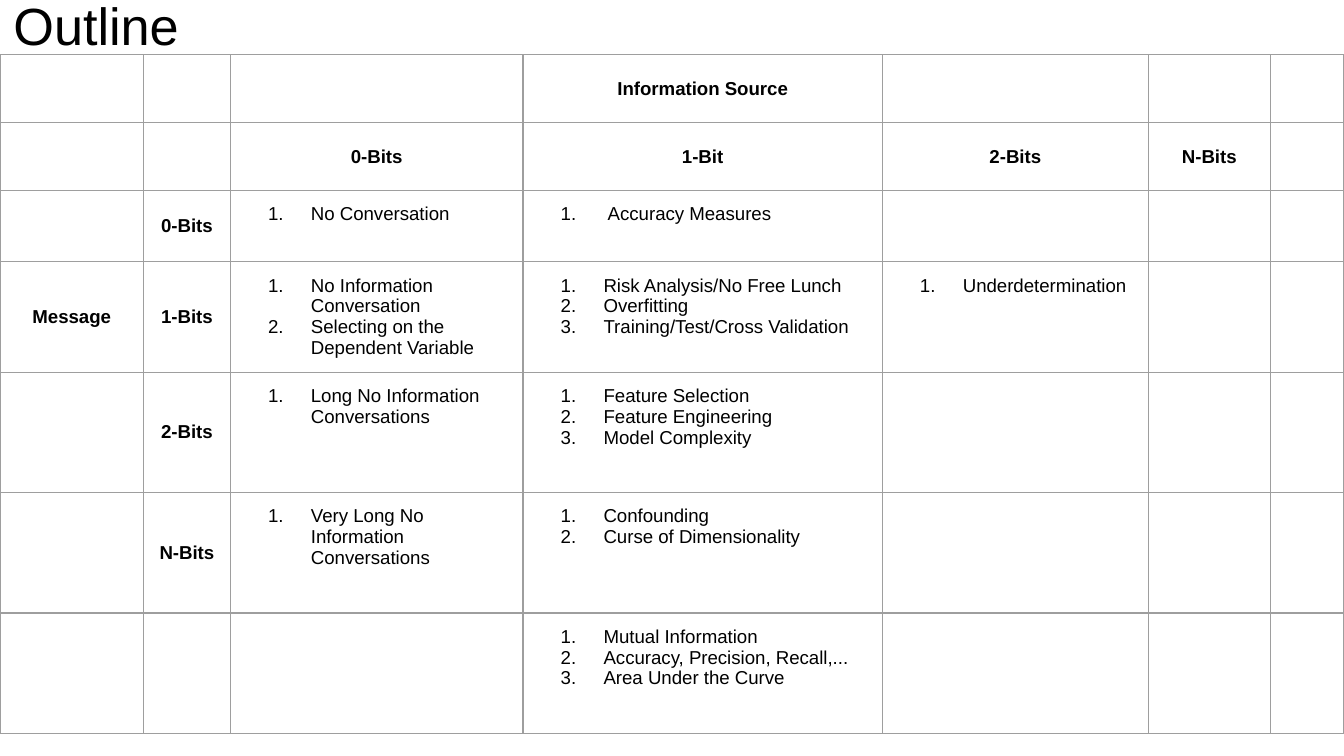
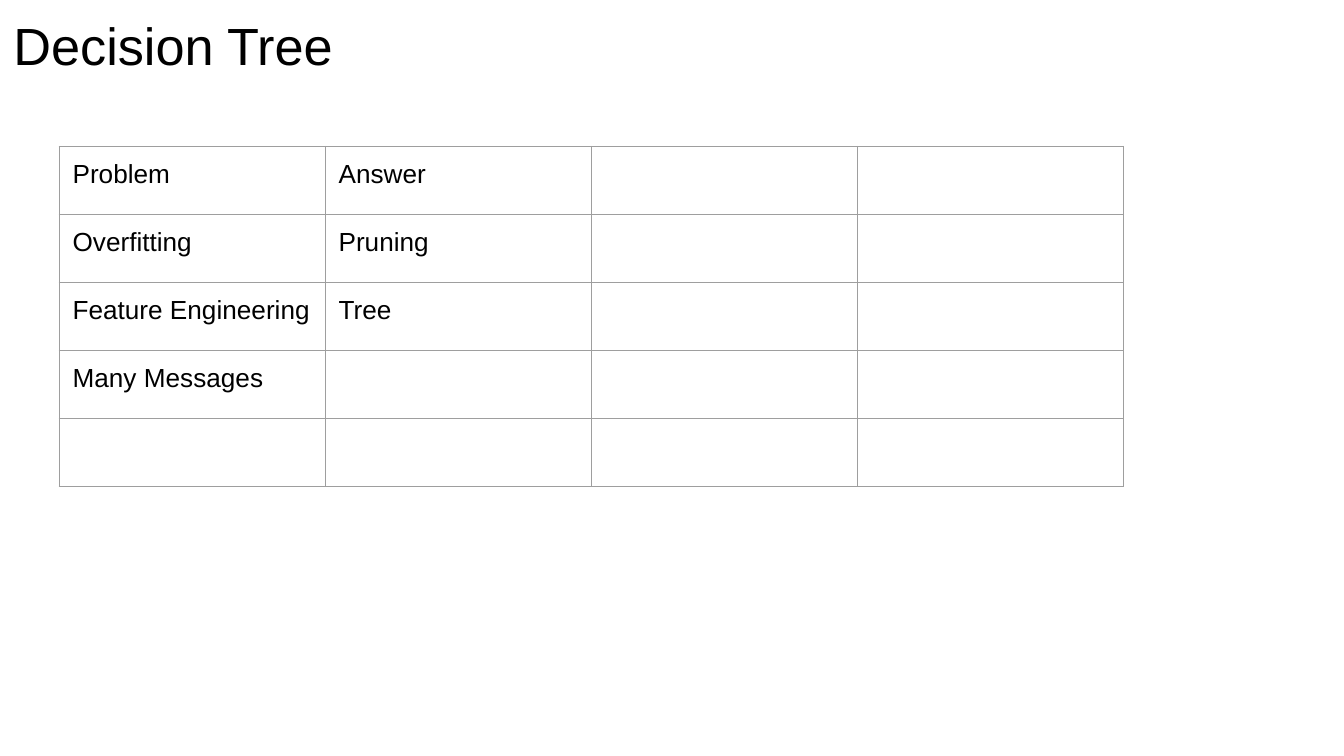
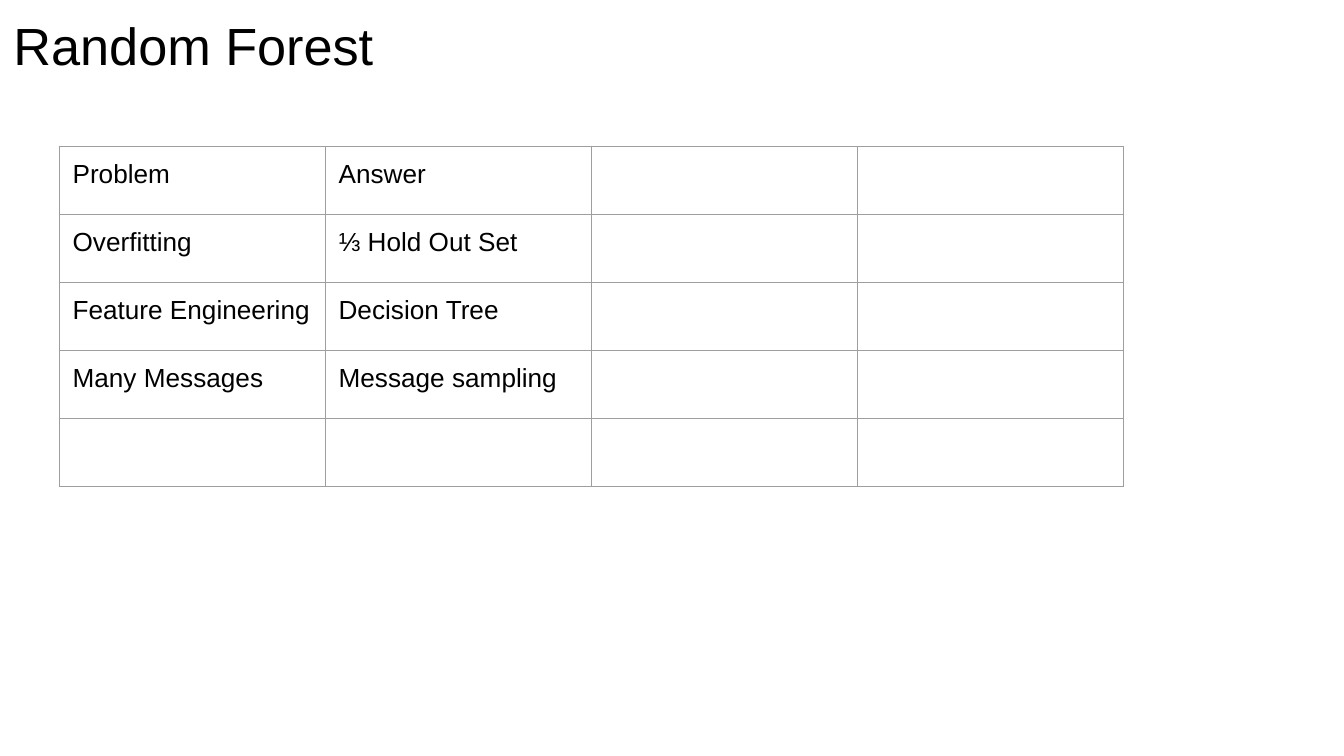
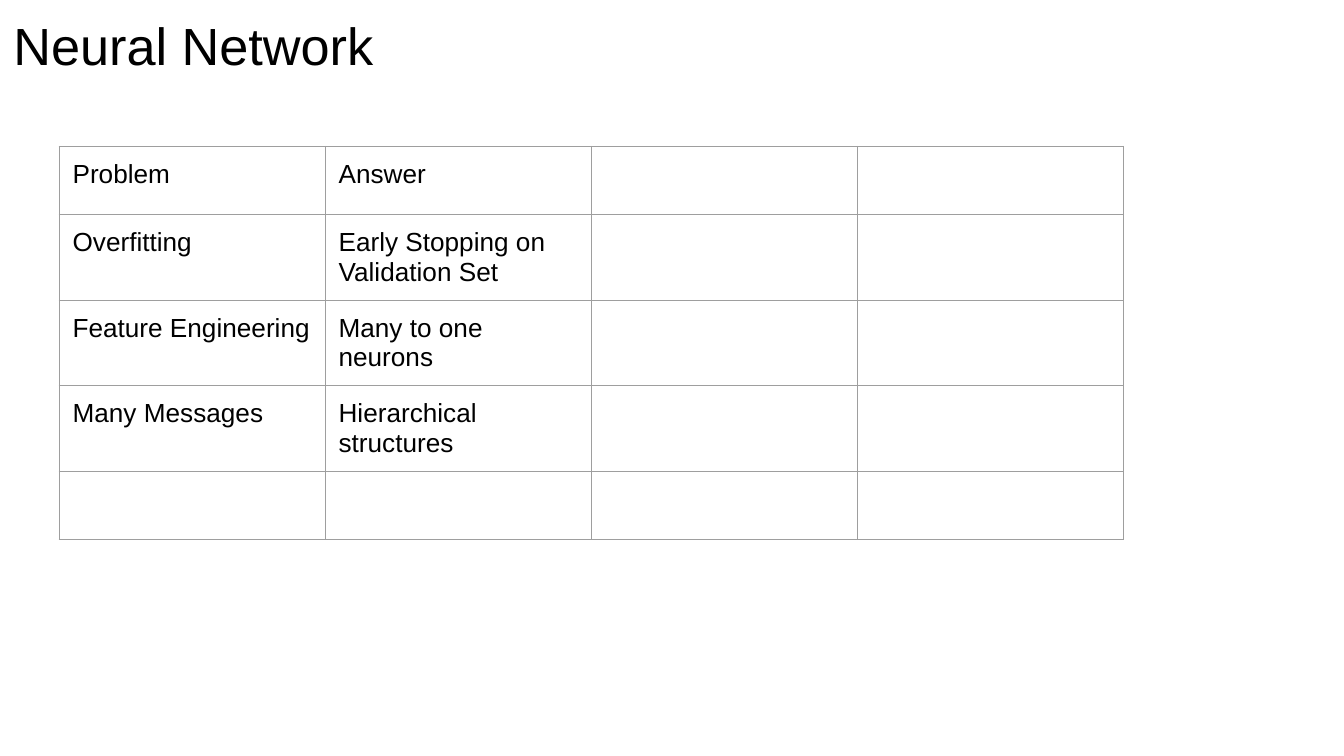
from lxml import etree
from pptx import Presentation
from pptx.dml.color import RGBColor
from pptx.enum.text import MSO_ANCHOR, MSO_AUTO_SIZE, PP_ALIGN
from pptx.oxml.ns import qn
from pptx.util import Pt

LEFT, CENTER = PP_ALIGN.LEFT, PP_ALIGN.CENTER
TOP, MIDDLE = MSO_ANCHOR.TOP, MSO_ANCHOR.MIDDLE
NO_AUTOFIT = MSO_AUTO_SIZE.NONE

BLACK = RGBColor(0x00, 0x00, 0x00)
WHITE = RGBColor(0xFF, 0xFF, 0xFF)
GRID_GRAY = RGBColor(0x9E, 0x9E, 0x9E)
FONT = "Arial"
INSET = Pt(7.2)
TITLE_ONLY = 5

OUTLINE_WIDTHS = [76.9, 46.5, 156.8, 192.5, 142.6, 65.3, 39.1]
OUTLINE_HEIGHTS = [33.8, 33.8, 38.2, 59, 64.5, 64.5, 64.5]
OUTLINE_ROWS = [
    ["", "", "", "Information Source", "", "", ""],
    ["", "", "0-Bits", "1-Bit", "2-Bits", "N-Bits", ""],
    ["", "0-Bits", ["No Conversation"], [" Accuracy Measures"], "", "", ""],
    ["Message", "1-Bits",
     ["No Information Conversation", "Selecting on the Dependent Variable"],
     ["Risk Analysis/No Free Lunch", "Overfitting", "Training/Test/Cross Validation"],
     ["Underdetermination"], "", ""],
    ["", "2-Bits", ["Long No Information Conversations"],
     ["Feature Selection", "Feature Engineering", "Model Complexity"], "", "", ""],
    ["", "N-Bits", ["Very Long No Information Conversations"],
     ["Confounding", "Curse of Dimensionality"], "", "", ""],
    ["", "", "",
     ["Mutual Information", "Accuracy, Precision, Recall,...", "Area Under the Curve"],
     "", "", ""],
]

PROBLEMS = ["Overfitting", "Feature Engineering", "Many Messages"]
MODEL_ANSWERS = {
    "Decision Tree": ["Pruning", "Tree", ""],
    "Random Forest": ["⅓ Hold Out Set", "Decision Tree", "Message sampling"],
    "Neural Network": ["Early Stopping on Validation Set", "Many to one neurons",
                       "Hierarchical structures"],
}
MODEL_WIDTHS = [142.5] * 4
MODEL_HEIGHTS = [30.24] * 5


def add_color(parent, tag, color):
    holder = etree.SubElement(parent, qn(tag))
    etree.SubElement(holder, qn("a:srgbClr"), val=str(color))


def number_paragraph(paragraph):
    properties = paragraph._p.get_or_add_pPr()
    properties.set("marL", str(Pt(36)))
    properties.set("indent", str(-Pt(23)))
    add_color(properties, "a:buClr", BLACK)
    etree.SubElement(properties, qn("a:buAutoNum"), type="arabicPeriod")


def write_text(text_frame, lines, size, bold=False, align=LEFT, numbered=False):
    for index, line in enumerate(lines):
        paragraph = text_frame.add_paragraph() if index else text_frame.paragraphs[0]
        paragraph.alignment = align
        if numbered:
            number_paragraph(paragraph)
        run = paragraph.add_run()
        run.text = line
        run.font.name = FONT
        run.font.size = Pt(size)
        run.font.bold = bold
        run.font.color.rgb = BLACK


def set_insets(target):
    target.margin_left = target.margin_right = INSET
    target.margin_top = target.margin_bottom = INSET


def add_borders(cell):
    properties = cell._tc.get_or_add_tcPr()
    for side in ("a:lnL", "a:lnR", "a:lnT", "a:lnB"):
        line = etree.SubElement(properties, qn(side), w=str(Pt(0.75)))
        add_color(line, "a:solidFill", GRID_GRAY)


def add_titled_slide(presentation, text, top=0, width=671, height=45.4, anchor=TOP):
    slide = presentation.slides.add_slide(presentation.slide_layouts[TITLE_ONLY])
    slide.background.fill.solid()
    slide.background.fill.fore_color.rgb = WHITE
    title = slide.shapes.title
    title.left, title.top = Pt(0), Pt(top)
    title.width, title.height = Pt(width), Pt(height)
    text_frame = title.text_frame
    set_insets(text_frame)
    text_frame.word_wrap = True
    text_frame.auto_size = NO_AUTOFIT
    text_frame.vertical_anchor = anchor
    write_text(text_frame, [text], 28)
    return slide


def add_grid(slide, rows, left, top, widths, heights, write_cell):
    frame = slide.shapes.add_table(len(rows), len(widths), Pt(left), Pt(top),
                                   Pt(sum(widths)), Pt(sum(heights)))
    table = frame.table
    table.first_row = table.horz_banding = False
    for column, width in zip(table.columns, widths):
        column.width = Pt(width)
    for row, height, contents in zip(table.rows, heights, rows):
        row.height = Pt(height)
        for cell, content in zip(row.cells, contents):
            set_insets(cell)
            add_borders(cell)
            cell.fill.background()
            if content:
                write_cell(cell, content)


def write_outline_cell(cell, content):
    if isinstance(content, list):
        write_text(cell.text_frame, content, 10, numbered=True)
    else:
        cell.vertical_anchor = MIDDLE
        write_text(cell.text_frame, [content], 10, bold=True, align=CENTER)


def write_model_cell(cell, content):
    write_text(cell.text_frame, [content], 14)


def add_outline_slide(presentation):
    slide = add_titled_slide(presentation, "Outline", top=-7.2, width=236,
                             height=40.3, anchor=MIDDLE)
    add_grid(slide, OUTLINE_ROWS, 0, 29.3, OUTLINE_WIDTHS, OUTLINE_HEIGHTS,
             write_outline_cell)


def add_model_slide(presentation, model, answers):
    slide = add_titled_slide(presentation, model)
    pairs = [("Problem", "Answer"), *zip(PROBLEMS, answers), ("", "")]
    rows = [[problem, answer, "", ""] for problem, answer in pairs]
    add_grid(slide, rows, 31.7, 78.5, MODEL_WIDTHS, MODEL_HEIGHTS, write_model_cell)


def main():
    presentation = Presentation()
    presentation.slide_width, presentation.slide_height = Pt(720), Pt(405)
    add_outline_slide(presentation)
    for model, answers in MODEL_ANSWERS.items():
        add_model_slide(presentation, model, answers)
    presentation.save("out.pptx")


if __name__ == "__main__":
    main()
